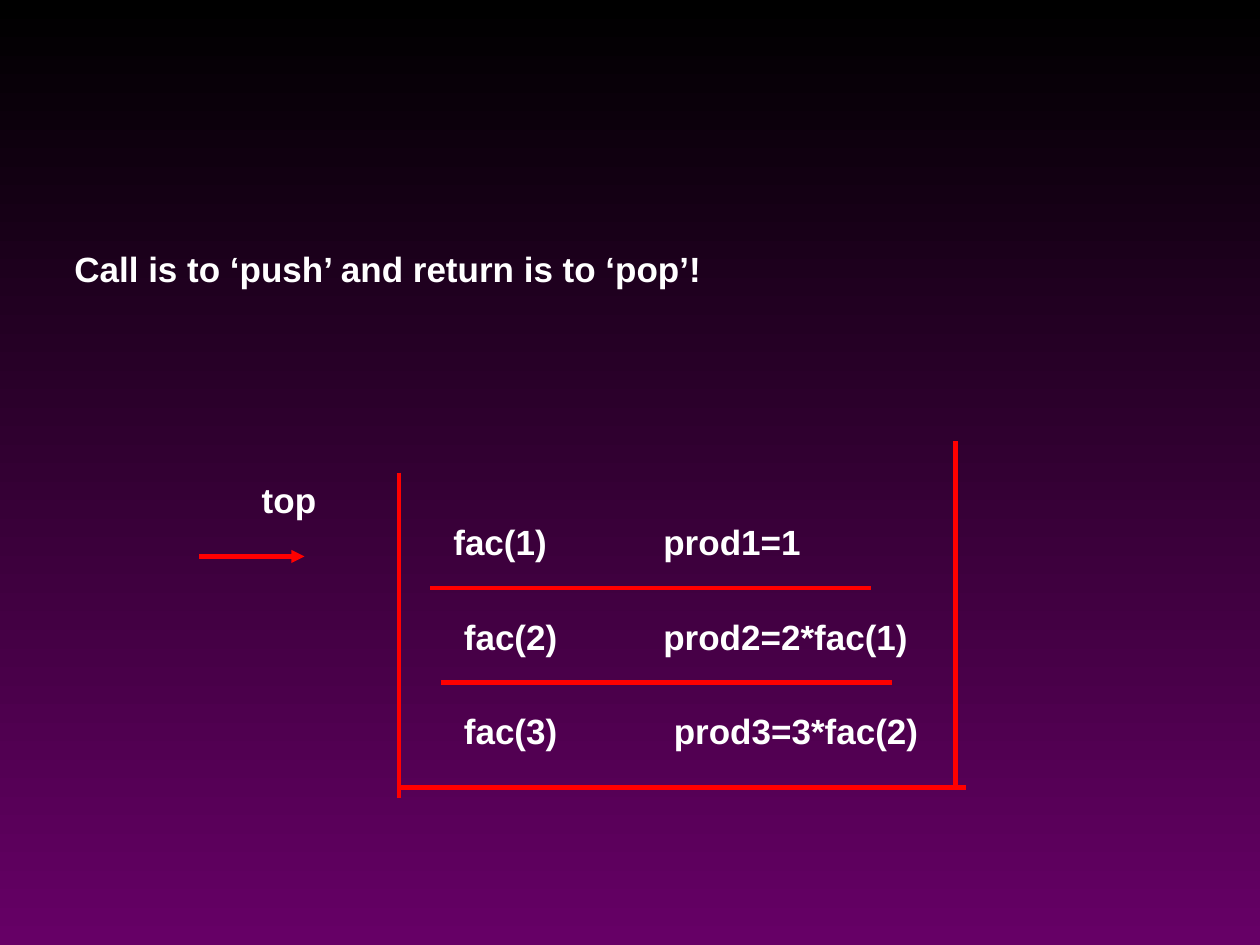
from lxml import etree
from pptx import Presentation
from pptx import util as u
from pptx.dml.color import RGBColor
from pptx.enum import shapes, text
from pptx.oxml.ns import qn

UNIT = 1 / 12  # grid of 120 columns by 90 rows
WHITE, RED, BLACK, PURPLE = "FFFFFF", "FF0000", "000000", "660066"
ROW_PITCH = 9


def color(value):
    return RGBColor.from_string(value)


def grid(count):
    return u.Inches(count * UNIT)


def add_label(slide, column, row, width, words):
    """Place a one-line label; the width is in inches."""
    shape = slide.shapes.add_textbox(grid(column), grid(row), u.Inches(width), u.Inches(0.44))
    frame = shape.text_frame
    frame.text = words
    frame.word_wrap = False
    frame.auto_size = text.MSO_AUTO_SIZE.SHAPE_TO_FIT_TEXT
    font = frame.paragraphs[0].runs[0].font
    font.name, font.size, font.bold = "Arial", u.Pt(20), True
    font.color.rgb = color(WHITE)


def add_line(slide, start, end, arrow=False):
    line = slide.shapes.add_connector(
        shapes.MSO_CONNECTOR.STRAIGHT, *(grid(count) for count in start + end))
    line.line.color.rgb = color(RED)
    line.line.width = u.Pt(2.5)
    properties = line._element.spPr
    if arrow:
        etree.SubElement(properties.find(qn("a:ln")), qn("a:tailEnd"), type="triangle")
    etree.SubElement(properties, qn("a:effectLst"))


def set_background(slide):
    fill = slide.background.fill
    fill.gradient()
    fill.gradient_angle = 270
    for stop, position, value in zip(fill.gradient_stops, (0, 1), (BLACK, PURPLE)):
        stop.position = position
        stop.color.rgb = color(value)


def add_stack_frame(slide, left, top, width, height):
    right, bottom = left + width, top + height
    add_line(slide, (left, bottom), (right + 1, bottom))
    add_line(slide, (left, top + 3), (left, bottom + 1))
    add_line(slide, (right, bottom), (right, top))


def add_stack_entries(slide, left, top):
    """Each entry: call, its indent, result, its indent, result width."""
    entries = [
        ("fac(1)", 4, "prod1=1", 24, 1.29),
        ("fac(2)", 5, "prod2=2*fac(1)", 24, 2.14),
        ("fac(3)", 5, "prod3=3*fac(2)", 25, 2.14),
    ]
    for index, (call, call_indent, result, result_indent, width) in enumerate(entries):
        row = top + index * ROW_PITCH
        add_label(slide, left + call_indent, row, 0.94, call)
        add_label(slide, left + result_indent, row, width, result)
    for index, (start, end) in enumerate([(3, 45), (4, 47)]):
        row = top + 7 + index * ROW_PITCH
        add_line(slide, (left + start, row), (left + end, row))


def add_top_pointer(slide, left, top):
    add_label(slide, left + 4.75, top, 0.63, "top")
    add_line(slide, (left, top + 8), (left + 10, top + 8), arrow=True)


def main():
    presentation = Presentation()
    presentation.slide_width, presentation.slide_height = u.Inches(10), u.Inches(7.5)
    slide = presentation.slides.add_slide(presentation.slide_layouts[6])
    set_background(slide)
    add_label(slide, 5.9, 23, 5.19, "Call is to ‘push’ and return is to ‘pop’!")
    add_stack_frame(slide, 38, 42, 53, 33)
    add_stack_entries(slide, 38, 49)
    add_top_pointer(slide, 19, 45)
    presentation.save("out.pptx")


if __name__ == "__main__":
    main()
